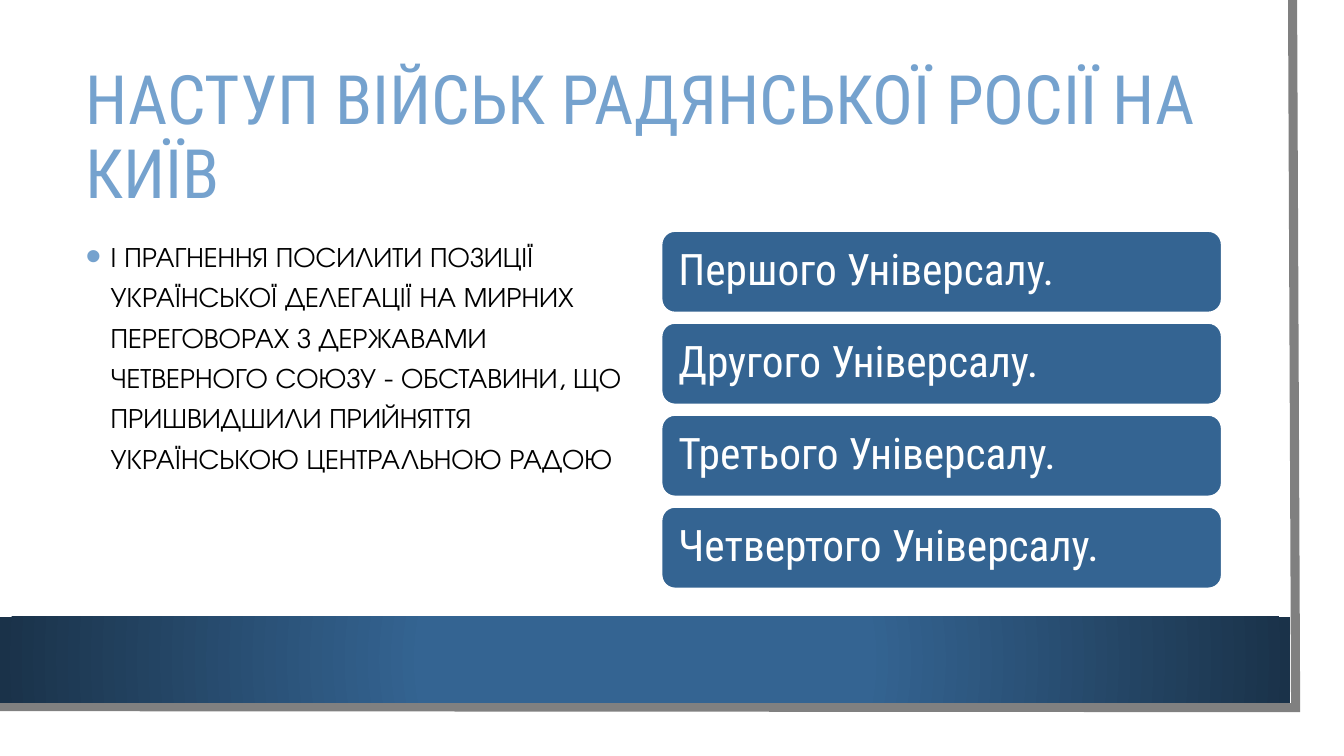
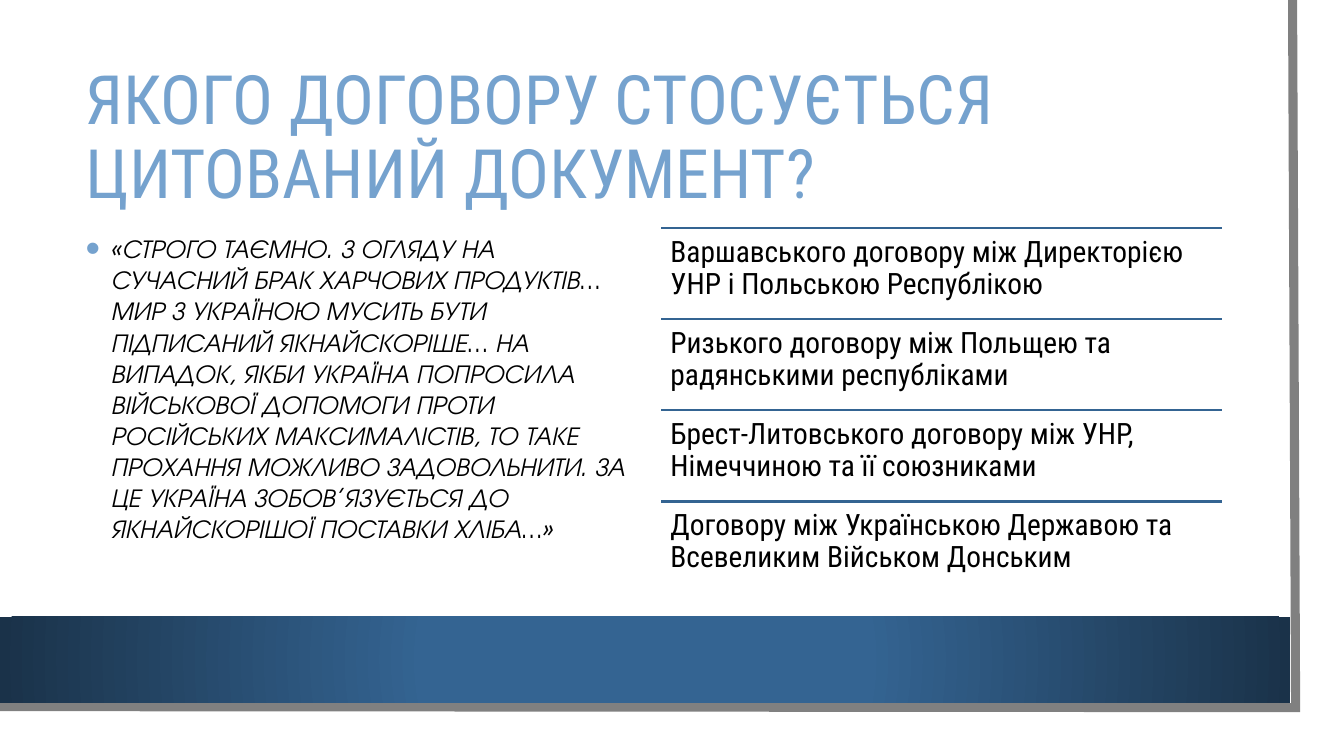
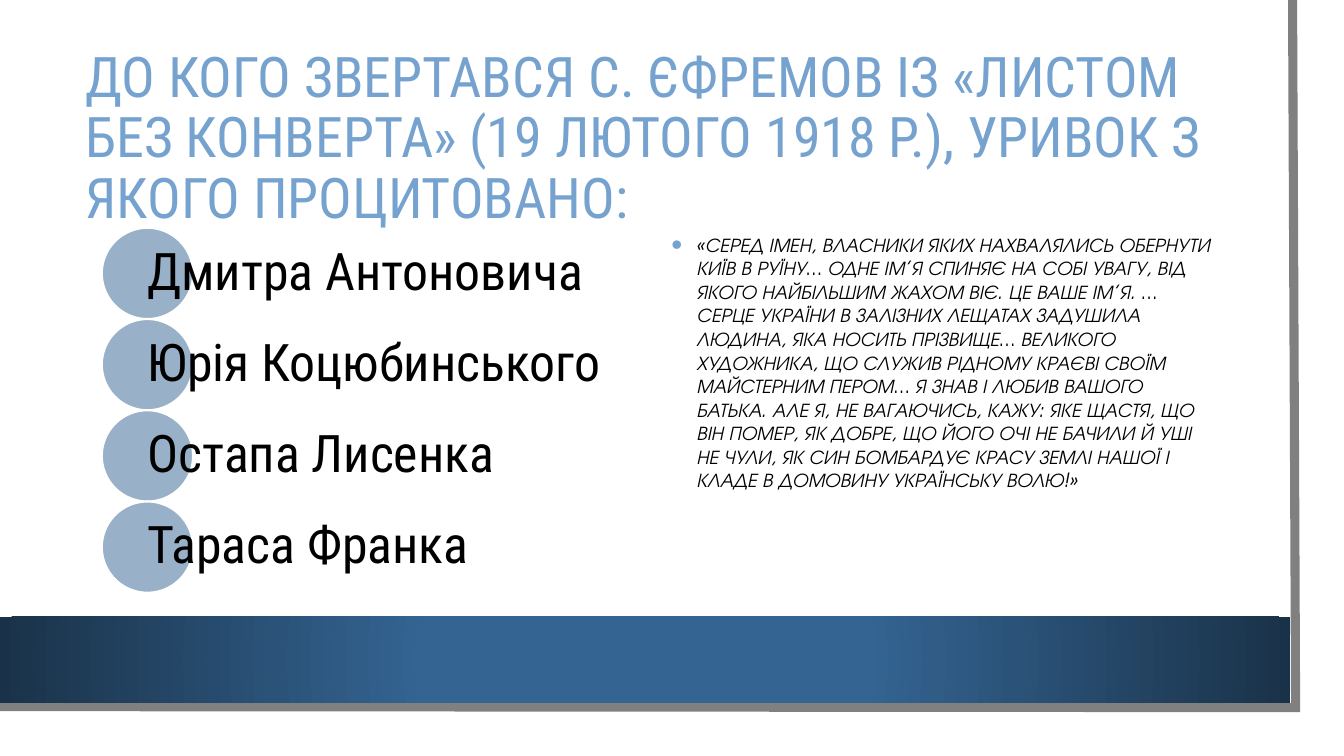
from dataclasses import dataclass

from lxml import etree
from pptx import Presentation
from pptx.dml.color import RGBColor
from pptx.enum.shapes import MSO_CONNECTOR as Connector, MSO_SHAPE as Shape
from pptx.enum.text import MSO_ANCHOR as Anchor, PP_ALIGN as Align
from pptx.oxml import parse_xml
from pptx.oxml.ns import nsdecls, qn
from pptx.util import Inches, Pt


@dataclass(frozen=True)
class Theme:
    blue: str = "346492"
    navy: str = "1A3249"
    sky: str = "75A2CE"
    grey: str = "808080"
    white: str = "FFFFFF"
    black: str = "000000"
    heading_font: str = "Roboto Condensed"
    body_font: str = "TeX Gyre Adventor"
    title_size: float = 48.6
    long_title_size: float = 40
    statement_size: float = 20
    quote_size: float = 18.5
    long_quote_size: float = 14
    card_size: float = 31
    ruled_size: float = 21
    name_size: float = 37
    outline: float = 1.5


@dataclass(frozen=True)
class Box:
    left: float
    top: float
    width: float
    height: float

    def inches(self):
        return [Inches(v) for v in (self.left, self.top, self.width, self.height)]

    def rows(self, count, gap=0):
        """Split the box into equal rows."""
        height = (self.height - gap * (count - 1)) / count
        return [Box(self.left, self.top + i * (height + gap), self.width, height)
                for i in range(count)]


THEME = Theme()
TITLE = Box(0.75, 0.75, 11.37, 1.27)
LEFT = Box(0.75, 2.26, 5.57, 3.62)
RIGHT = Box(6.56, 2.26, 5.56, 3.62)


def rgb(color):
    return RGBColor.from_string(color)


# Basic parts
def add_block(slide, kind, box, fill, line=None):
    shape = slide.shapes.add_shape(kind, *box.inches())
    shape.shadow.inherit = False
    shape.fill.solid()
    shape.fill.fore_color.rgb = rgb(fill)
    if line:
        shape.line.color.rgb = rgb(line)
        shape.line.width = Pt(THEME.outline)
    else:
        shape.line.fill.background()
    return shape


def write(shape, text, size, color, font=THEME.heading_font, spacing=0.9,
          anchor=Anchor.MIDDLE, inset=(0.1, 0.05), italic=False, bullet=False):
    frame = shape.text_frame
    frame.word_wrap = True
    frame.vertical_anchor = anchor
    frame.margin_left = frame.margin_right = Inches(inset[0])
    frame.margin_top = frame.margin_bottom = Inches(inset[1])
    frame.text = text
    paragraph = frame.paragraphs[0]
    if bullet:
        add_bullet(paragraph)
    paragraph.alignment = Align.LEFT
    paragraph.line_spacing = spacing
    for run in paragraph.runs:
        run.font.name = font
        run.font.size = Pt(size)
        run.font.italic = italic
        run.font.color.rgb = rgb(color)


def add_bullet(paragraph):
    properties = paragraph._p.get_or_add_pPr()
    properties.set("marL", str(Inches(0.25)))
    properties.set("indent", str(-Inches(0.25)))
    color = etree.SubElement(properties, qn("a:buClr"))
    etree.SubElement(color, qn("a:srgbClr"), val=THEME.sky)
    etree.SubElement(properties, qn("a:buSzPct"), val="160000")
    etree.SubElement(properties, qn("a:buFont"), typeface="Arial")
    etree.SubElement(properties, qn("a:buChar"), char="•")


def add_text(slide, box, text, size, color=THEME.black, **style):
    write(slide.shapes.add_textbox(*box.inches()), text, size, color, **style)


# Shared frame: sheet, grey edge and gradient band
def add_frame(slide):
    add_block(slide, Shape.RECTANGLE, Box(0, 0, 13.1, 7.27), THEME.white)

    builder = slide.shapes.build_freeform(Inches(12.82), 0)
    builder.add_line_segments([(Inches(12.85), Inches(7.02)),
                               (Inches(-0.03), Inches(7.01))], close=False)
    edge = builder.convert_to_shape()
    edge.shadow.inherit = False
    edge.fill.background()
    edge.line.color.rgb = rgb(THEME.grey)
    edge.line.width = Pt(6.5)
    outline = edge._element.spPr.find(qn("a:ln"))
    etree.SubElement(outline, qn("a:miter"), lim="800000")

    band = add_block(slide, Shape.RECTANGLE, Box(0, 6.12, 12.8, 0.85), THEME.blue)
    solid = band._element.spPr.find(qn("a:solidFill"))
    solid.getparent().replace(solid, parse_xml(
        f'<a:gradFill {nsdecls("a")}><a:gsLst>'
        f'<a:gs pos="34000"><a:srgbClr val="{THEME.blue}"/></a:gs>'
        f'<a:gs pos="100000"><a:srgbClr val="{THEME.navy}"/></a:gs></a:gsLst>'
        '<a:path path="circle">'
        '<a:fillToRect l="50000" t="50000" r="50000" b="50000"/>'
        '</a:path></a:gradFill>'))


def add_slide(presentation, title, size=THEME.title_size):
    slide = presentation.slides.add_slide(presentation.slide_layouts[6])
    add_frame(slide)
    add_text(slide, TITLE, title, size, THEME.sky)
    return slide


# Regions
def add_passage(slide, box, text, size, spacing=1.0, italic=True):
    add_text(slide, box, text, size, font=THEME.body_font, spacing=spacing,
             anchor=Anchor.TOP, italic=italic, bullet=True)


def add_cards(slide, box, items):
    area = Box(box.left, box.top + 0.03, box.width, box.height - 0.07)
    for row, item in zip(area.rows(len(items), gap=0.1), items):
        card = add_block(slide, Shape.ROUNDED_RECTANGLE, row, THEME.blue, THEME.white)
        write(card, item, THEME.card_size, THEME.white, inset=(0.13, 0.13))


def add_ruled_list(slide, box, items):
    for row, item in zip(box.rows(len(items)), items):
        left, top, width, _ = row.inches()
        rule = slide.shapes.add_connector(Connector.STRAIGHT, left, top, left + width, top)
        rule.line.color.rgb = rgb(THEME.blue)
        rule.line.width = Pt(THEME.outline)
        etree.SubElement(rule._element.spPr, qn("a:effectLst"))
        add_text(slide, row, item, THEME.ruled_size, anchor=Anchor.TOP, inset=(0.09, 0.09))


def add_circle_list(slide, box, items):
    for row, item in zip(box.rows(len(items)), items):
        size = row.height
        left = box.left + 0.26
        circle = add_block(slide, Shape.OVAL, Box(left, row.top, size, size),
                           THEME.blue, THEME.white)
        color = circle._element.spPr.find(qn("a:solidFill"))[0]
        etree.SubElement(color, qn("a:alpha"), val="50000")
        middle = left + size / 2
        label = Box(middle, row.top, box.left + box.width - middle, size)
        add_text(slide, label, item, THEME.name_size, inset=(0, 0.05))


# Slides
def build_offensive(presentation):
    slide = add_slide(presentation, "НАСТУП ВІЙСЬК РАДЯНСЬКОЇ РОСІЇ НА КИЇВ")
    add_passage(
        slide, LEFT,
        "І ПРАГНЕННЯ ПОСИЛИТИ ПОЗИЦІЇ УКРАЇНСЬКОЇ ДЕЛЕГАЦІЇ НА МИРНИХ "
        "ПЕРЕГОВОРАХ З ДЕРЖАВАМИ ЧЕТВЕРНОГО СОЮЗУ - ОБСТАВИНИ, ЩО ПРИШВИДШИЛИ "
        "ПРИЙНЯТТЯ УКРАЇНСЬКОЮ ЦЕНТРАЛЬНОЮ РАДОЮ",
        THEME.statement_size, spacing=1.2, italic=False)
    add_cards(slide, RIGHT, ["Першого Універсалу.", "Другого Універсалу.",
                             "Третього Універсалу.", "Четвертого Універсалу."])


def build_treaty(presentation):
    slide = add_slide(presentation, "ЯКОГО ДОГОВОРУ СТОСУЄТЬСЯ ЦИТОВАНИЙ ДОКУМЕНТ?")
    add_passage(
        slide, LEFT,
        "«СТРОГО ТАЄМНО. З ОГЛЯДУ НА СУЧАСНИЙ БРАК ХАРЧОВИХ ПРОДУКТІВ… МИР З "
        "УКРАЇНОЮ МУСИТЬ БУТИ ПІДПИСАНИЙ ЯКНАЙСКОРІШЕ… НА ВИПАДОК, ЯКБИ УКРАЇНА "
        "ПОПРОСИЛА ВІЙСЬКОВОЇ ДОПОМОГИ ПРОТИ РОСІЙСЬКИХ МАКСИМАЛІСТІВ, ТО ТАКЕ "
        "ПРОХАННЯ МОЖЛИВО ЗАДОВОЛЬНИТИ. ЗА ЦЕ УКРАЇНА ЗОБОВ’ЯЗУЄТЬСЯ ДО "
        "ЯКНАЙСКОРІШОЇ ПОСТАВКИ ХЛІБА…»",
        THEME.quote_size)
    add_ruled_list(slide, RIGHT, [
        "Варшавського договору між Директорією УНР і Польською Республікою",
        "Ризького договору між Польщею та радянськими республіками",
        "Брест-Литовського договору між УНР, Німеччиною та її союзниками",
        "Договору між Українською Державою та Всевеликим Військом Донським"])


def build_letter(presentation):
    slide = add_slide(
        presentation,
        "ДО КОГО ЗВЕРТАВСЯ С. ЄФРЕМОВ ІЗ «ЛИСТОМ БЕЗ КОНВЕРТА» "
        "(19 ЛЮТОГО 1918 Р.), УРИВОК З ЯКОГО ПРОЦИТОВАНО:",
        THEME.long_title_size)
    add_circle_list(slide, LEFT, ["Дмитра Антоновича", "Юрія Коцюбинського",
                                  "Остапа Лисенка", "Тараса Франка"])
    add_passage(
        slide, RIGHT,
        "«СЕРЕД ІМЕН, ВЛАСНИКИ ЯКИХ НАХВАЛЯЛИСЬ ОБЕРНУТИ КИЇВ В РУЇНУ… ОДНЕ ІМ’Я "
        "СПИНЯЄ НА СОБІ УВАГУ, ВІД ЯКОГО НАЙБІЛЬШИМ ЖАХОМ ВІЄ. ЦЕ ВАШЕ ІМ’Я. "
        "…СЕРЦЕ УКРАЇНИ В ЗАЛІЗНИХ ЛЕЩАТАХ ЗАДУШИЛА ЛЮДИНА, ЯКА НОСИТЬ ПРІЗВИЩЕ… "
        "ВЕЛИКОГО ХУДОЖНИКА, ЩО СЛУЖИВ РІДНОМУ КРАЄВІ СВОЇМ МАЙСТЕРНИМ ПЕРОМ… Я "
        "ЗНАВ І ЛЮБИВ ВАШОГО БАТЬКА. АЛЕ Я, НЕ ВАГАЮЧИСЬ, КАЖУ: ЯКЕ ЩАСТЯ, ЩО ВІН "
        "ПОМЕР, ЯК ДОБРЕ, ЩО ЙОГО ОЧІ НЕ БАЧИЛИ Й УШІ НЕ ЧУЛИ, ЯК СИН БОМБАРДУЄ "
        "КРАСУ ЗЕМЛІ НАШОЇ І КЛАДЕ В ДОМОВИНУ УКРАЇНСЬКУ ВОЛЮ!»",
        THEME.long_quote_size)


def main():
    presentation = Presentation()
    presentation.slide_width = Inches(13.33)
    presentation.slide_height = Inches(7.5)
    build_offensive(presentation)
    build_treaty(presentation)
    build_letter(presentation)
    presentation.save("out.pptx")


if __name__ == "__main__":
    main()
